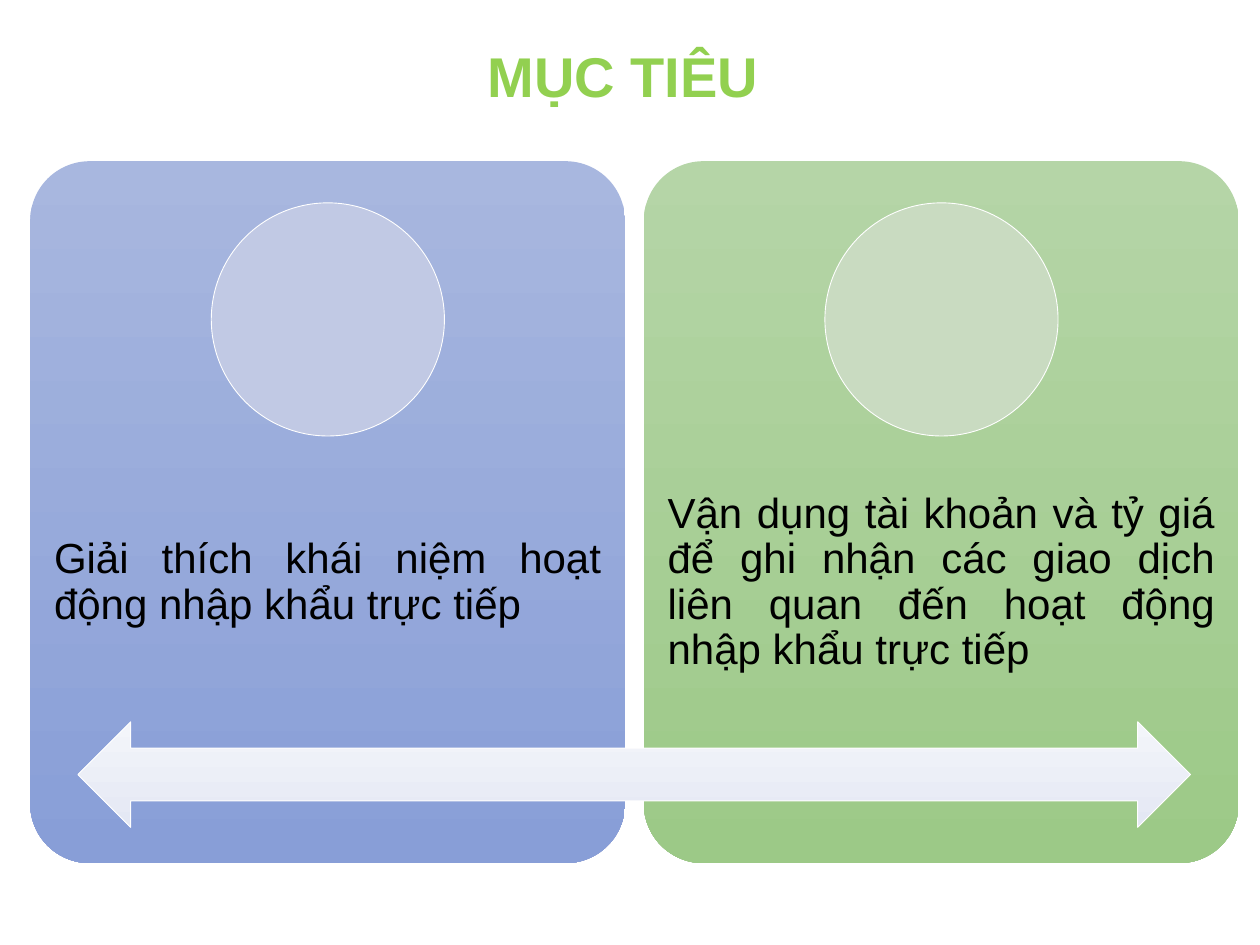
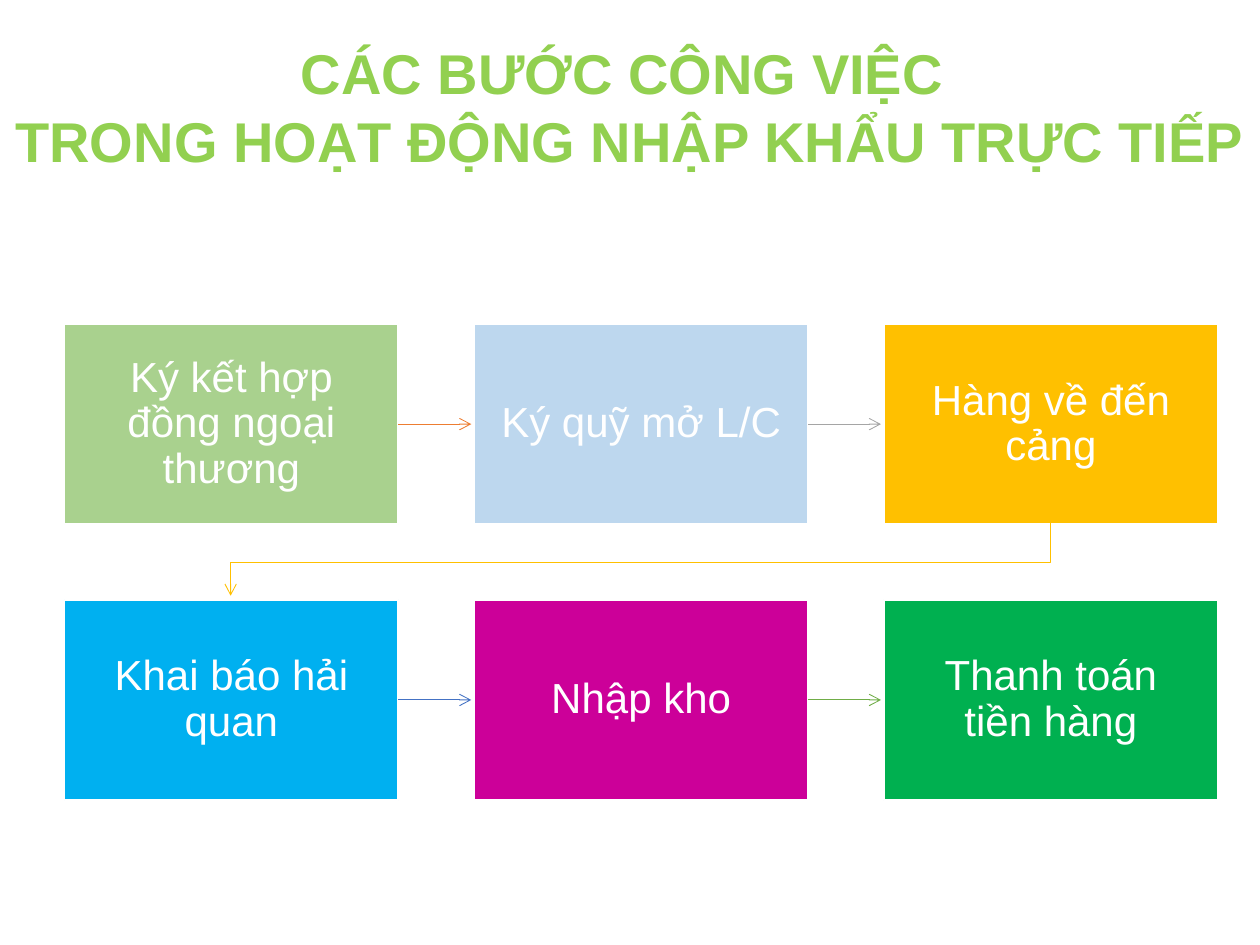
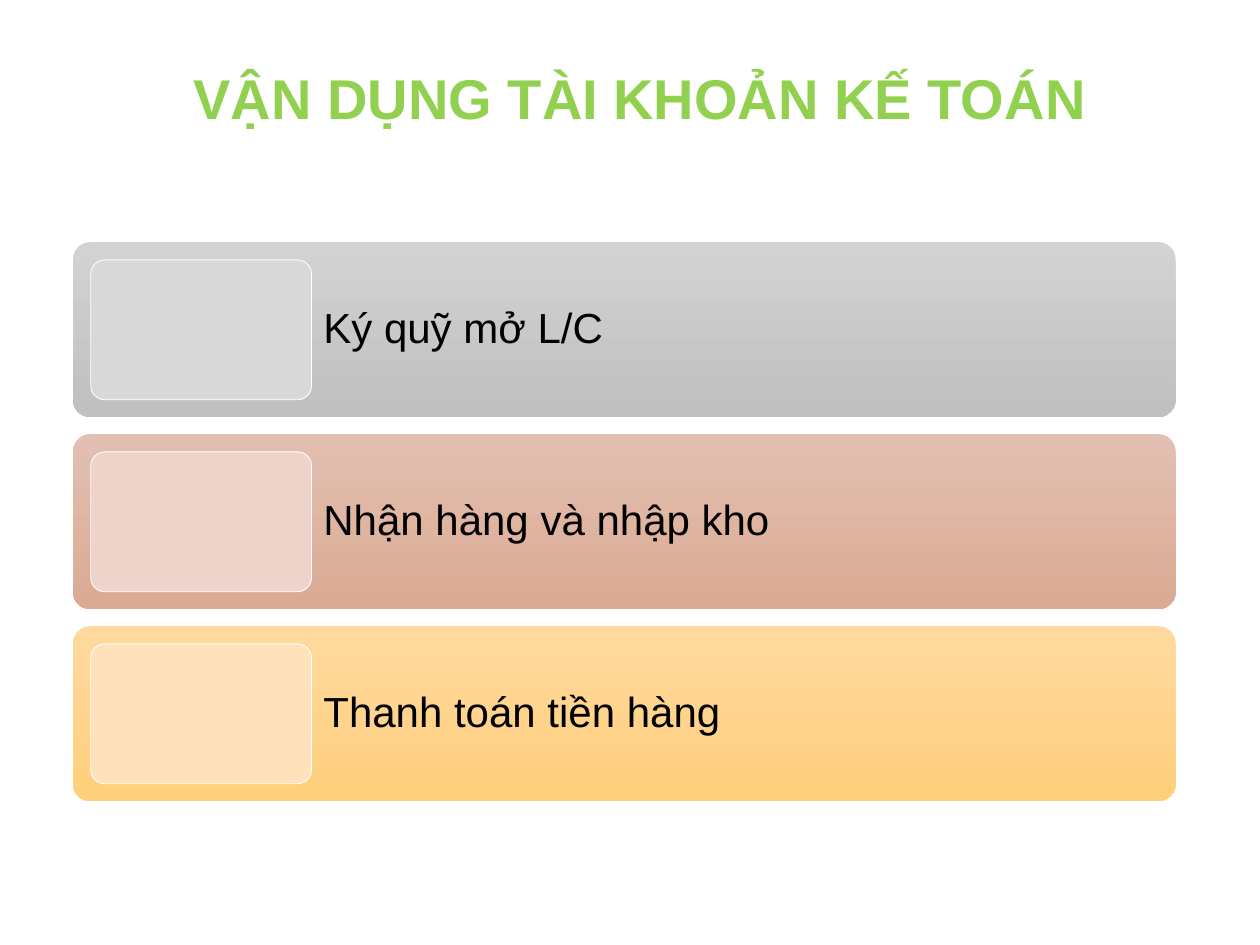
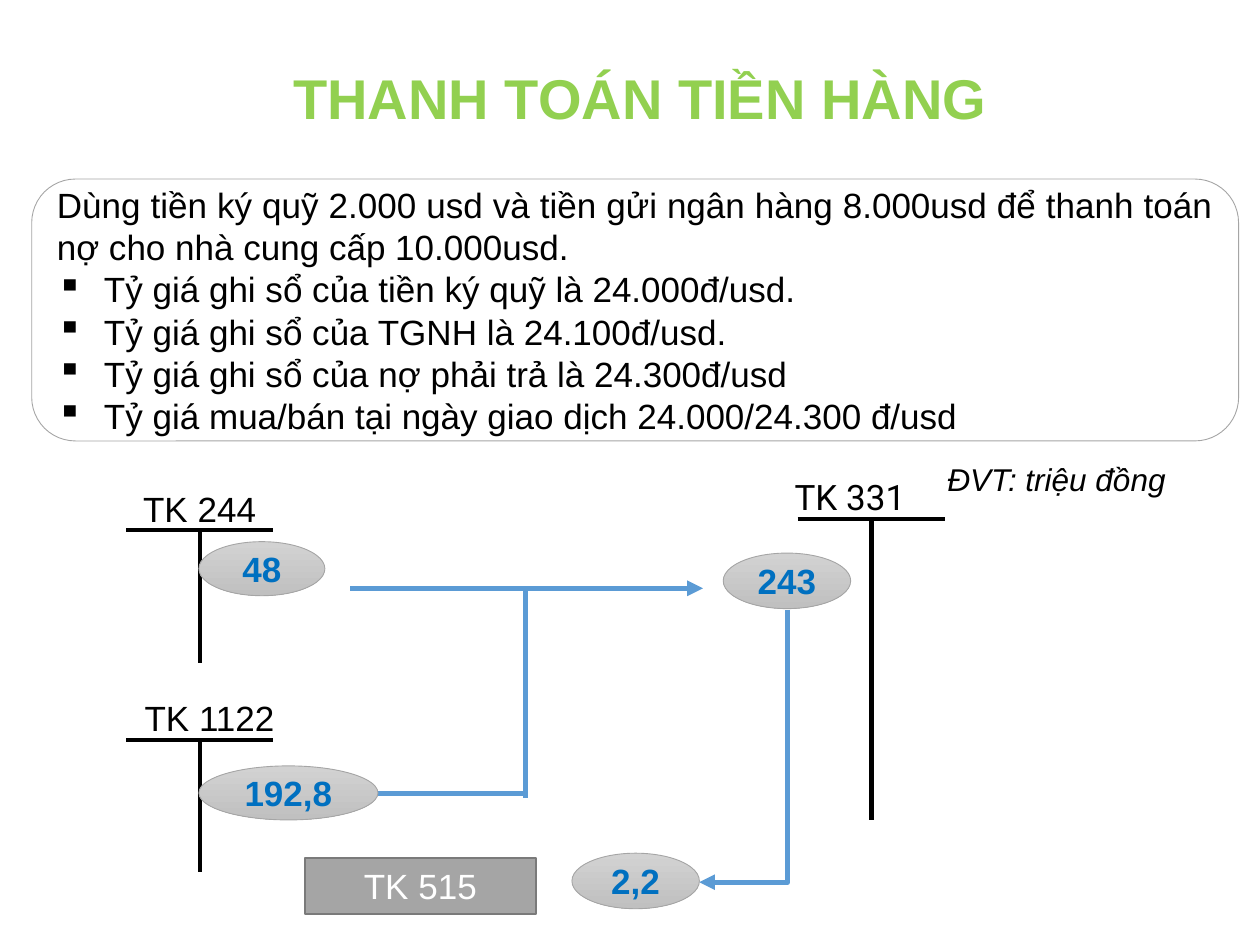
"""Build four slides on accounting for direct imports."""
from pptx import Presentation
from pptx.dml.color import RGBColor
from pptx.enum.shapes import MSO_CONNECTOR as CONN, MSO_SHAPE as SHAPE
from pptx.enum.text import MSO_ANCHOR as ANCHOR, MSO_AUTO_SIZE as AUTO, PP_ALIGN as ALIGN
from pptx.oxml.ns import qn
from pptx.util import Cm, Pt
from lxml.etree import SubElement

GREEN, BLUE, GREY = "92D050", "5B9BD5", "A5A5A5"
SILVER = ("D2D2D2", "C0C0C0")
ROOMY, EVEN, NORMAL = (0.48, 0.48), (0.25, 0.25), (0.25, 0.13)


def paint(sp, fill=None, line=None, width=0.5, tail=None):
    """Set fill (one colour or a top and bottom pair), line and arrowhead without a shadow."""
    if hasattr(sp, "fill"):
        sp.shadow.inherit = False
        if isinstance(fill, tuple):
            sp.fill.gradient()
            sp.fill.gradient_angle = 270
            for stop, color in zip(sp.fill.gradient_stops, fill):
                stop.color.rgb = RGBColor.from_string(color)
        elif fill:
            sp.fill.solid()
            sp.fill.fore_color.rgb = RGBColor.from_string(fill)
        else:
            sp.fill.background()
    if line:
        sp.line.color.rgb = RGBColor.from_string(line)
        sp.line.width = Pt(width)
    else:
        sp.line.fill.background()
    if tail:
        SubElement(sp.line._get_or_add_ln(), qn("a:tailEnd"), type=tail)
    if not hasattr(sp, "fill"):
        SubElement(sp._element.spPr, qn("a:effectLst"))


def write(sp, lines, color="000000", align=ALIGN.CENTER, anchor=ANCHOR.MIDDLE,
          inset=NORMAL, spacing=1.0, **font):
    """Fill a shape with one paragraph per line of text."""
    tf = sp.text_frame
    x, y = map(Cm, inset)
    frame = {"word_wrap": True, "auto_size": AUTO.NONE, "vertical_anchor": anchor,
             "margin_left": x, "margin_right": x, "margin_top": y, "margin_bottom": y}
    for key, value in frame.items():
        setattr(tf, key, value)
    for i, line in enumerate(lines):
        p = tf.add_paragraph() if i else tf.paragraphs[0]
        p.alignment, p.line_spacing = align, spacing
        r = p.add_run()
        r.text = line
        for key, value in ({"name": "Arial", "size": Pt(24)} | font).items():
            setattr(r.font, key, value)
        r.font.color.rgb = RGBColor.from_string(color)


prs = Presentation()
prs.slide_width, prs.slide_height = Cm(25.4), Cm(19.05)

titles = [
    (["MỤC TIÊU"], (9.55, 0.69, 6.02, 1.63), 1.0),
    (["CÁC BƯỚC CÔNG VIỆC ", "TRONG HOẠT ĐỘNG NHẬP KHẨU TRỰC TIẾP"], (0, 0.64, 25.4, 3), 1.0),
    (["VẬN DỤNG TÀI KHOẢN KẾ TOÁN"], (2.11, 0.89, 21.59, 2.29), 0.9),
    (["THANH TOÁN TIỀN HÀNG"], (2.11, 0.89, 21.59, 2.29), 0.9),
]
for lines, box, spacing in titles:
    s = prs.slides.add_slide(prs.slide_layouts[5])
    title = s.shapes.title
    title.left, title.top, title.width, title.height = map(Cm, box)
    write(title, lines, GREEN, spacing=spacing, size=Pt(32), bold=True)
goals, steps, topics, payment = [s.shapes for s in prs.slides]

panels = [
    ("Giải thích khái niệm hoạt động nhập khẩu trực tiếp", ("A8B7DF", "889ED7"), "C1C9E4"),
    ("Vận dụng tài khoản và tỷ giá để ghi nhận các giao dịch liên quan đến hoạt động "
     "nhập khẩu trực tiếp", ("B5D5A7", "9CC987"), "C9DBC1"),
]
for i, (text, fill, tint) in enumerate(panels):
    x = 0.61 + i * 12.37
    panel = goals.add_shape(SHAPE.ROUNDED_RECTANGLE, Cm(x), Cm(3.25), Cm(11.99), Cm(14.15))
    panel.adjustments[0] = 0.1
    paint(panel, fill)
    label = goals.add_textbox(Cm(x), Cm(8.92), Cm(11.99), Cm(5.66))
    write(label, [text], align=ALIGN.JUSTIFY, inset=ROOMY, spacing=0.9)
    circle = goals.add_shape(SHAPE.OVAL, Cm(x + 3.65), Cm(4.09), Cm(4.7), Cm(4.7))
    paint(circle, tint, "FFFFFF")
arrow = goals.add_shape(SHAPE.LEFT_RIGHT_ARROW, Cm(1.57), Cm(14.55), Cm(22.43), Cm(2.13))
paint(arrow, ("F3F5FA", "E4E8F4"), "FFFFFF")

tasks = [
    ("Ký kết hợp đồng ngoại thương", "A9D18E", "ED7D31"),
    ("Ký quỹ mở L/C", "BDD7EE", GREY),
    ("Hàng về đến cảng", "FFC000", None),
    ("Khai báo hải quan", "00B0F0", "4472C4"),
    ("Nhập kho", "CC0099", "70AD47"),
    ("Thanh toán tiền hàng", "00B050", None),
]
w, h = 6.73, 4.04
for i, (text, fill, link) in enumerate(tasks):
    row, col = divmod(i, 3)
    x, y = 1.3 + col * 8.26, 6.53 + row * 5.56
    sp = steps.add_shape(SHAPE.RECTANGLE, Cm(x), Cm(y), Cm(w), Cm(h))
    paint(sp, fill, "FFFFFF", 1)
    write(sp, [text], "FFFFFF", inset=ROOMY, spacing=0.9)
    if link:
        mid = Cm(y + h / 2)
        line = steps.add_connector(CONN.STRAIGHT, Cm(x + w), mid, Cm(x + w + 1.47), mid)
        paint(line, line=link, tail="arrow")
turn = steps.build_freeform(Cm(21.18), Cm(10.55))
turn.add_line_segments([(Cm(21.18), Cm(11.33)), (Cm(4.65), Cm(11.33)), (Cm(4.65), Cm(12.01))],
                       close=False)
paint(turn.convert_to_shape(), line="FFC000", tail="arrow")

bands = [
    ("Ký quỹ mở L/C", SILVER, "D8D8D8"),
    ("Nhận hàng và nhập kho", ("E2C0B1", "DBAA93"), "EDD3C9"),
    ("Thanh toán tiền hàng", ("FFD99E", "FFCF7C"), "FFE1BB"),
]
for i, (text, fill, tint) in enumerate(bands):
    y = 4.88 + i * 3.87
    for box, color, edge in (((1.47, y, 22.23, 3.53), fill, None),
                             ((1.83, y + 0.36, 4.45, 2.82), tint, "FFFFFF")):
        sp = topics.add_shape(SHAPE.ROUNDED_RECTANGLE, *map(Cm, box))
        sp.adjustments[0] = 0.1
        paint(sp, color, edge)
    label = topics.add_textbox(Cm(6.27), Cm(y), Cm(17.42), Cm(3.53))
    write(label, [text], align=ALIGN.JUSTIFY, inset=EVEN, spacing=0.9)

case = payment.add_shape(SHAPE.ROUNDED_RECTANGLE, Cm(0.64), Cm(3.61), Cm(24.33), Cm(5.28))
paint(case, "FFFFFF", GREY)
write(case, [
    "Dùng tiền ký quỹ 2.000 usd và tiền gửi ngân hàng 8.000usd để thanh toán nợ cho "
    "nhà cung cấp 10.000usd.",
    "Tỷ giá ghi sổ của tiền ký quỹ là 24.000đ/usd.",
    "Tỷ giá ghi sổ của TGNH là 24.100đ/usd.",
    "Tỷ giá ghi sổ của nợ phải trả là 24.300đ/usd",
    "Tỷ giá mua/bán tại ngày giao dịch 24.000/24.300 đ/usd",
], align=ALIGN.JUSTIFY, size=Pt(20))
for p in case.text_frame.paragraphs[1:]:
    pPr = p._p.get_or_add_pPr()
    pPr.set("marL", str(Cm(0.95)))
    pPr.set("indent", str(-Cm(0.95)))
    SubElement(pPr, qn("a:buChar"), char="▪")

accounts = [
    ("TK 331", "Roboto", 16.08, 10.46, 6.07, 14.81),
    ("TK 244", "Arial", 2.54, 10.69, 2.67, 1.7),
    ("TK 1122", "Arial", 2.54, 14.91, 2.67, 1.9),
]
for name, font, x, y, depth, label_x in accounts:
    stem = x + 1.49
    for ends, width in (((stem, y, stem, y + depth), 2.75), ((x, y, x + 2.97, y), 2.25)):
        line = payment.add_connector(CONN.STRAIGHT, *map(Cm, ends))
        paint(line, line="000000", width=width)
    label = payment.add_textbox(Cm(label_x), Cm(y - 1), Cm(4.65), Cm(1.12))
    write(label, [name], anchor=ANCHOR.TOP, name=font, size=Pt(20))

flows = [
    ((7.06, 11.86, 14.17, 11.86), "triangle"),
    ((10.59, 11.86, 10.59, 16.08), None),
    ((7.62, 16, 10.62, 16), None),
]
for ends, tail in flows:
    line = payment.add_connector(CONN.STRAIGHT, *map(Cm, ends))
    paint(line, line=BLUE, width=3, tail=tail)
elbow = payment.add_connector(CONN.ELBOW, Cm(12.24), Cm(14.15), Cm(17.73), Cm(15.93))
elbow._element.spPr.find(qn("a:xfrm")).set("rot", "5400000")
elbow._element.spPr.find(qn("a:prstGeom")).set("prst", "bentConnector2")
paint(elbow, line=BLUE, width=3, tail="triangle")

amounts = [
    ("243", (14.58, 11.15, 2.57, 1.12)),
    ("48", (4.01, 10.92, 2.54, 1.09)),
    ("192,8", (4.01, 15.44, 3.61, 1.09)),
    ("2,2", (11.53, 17.2, 2.57, 1.12)),
]
for text, box in amounts:
    sp = payment.add_shape(SHAPE.OVAL, *map(Cm, box))
    paint(sp, SILVER, GREY)
    write(sp, [text], "0070C0", size=Pt(20), bold=True)

income = payment.add_shape(SHAPE.RECTANGLE, Cm(6.15), Cm(17.3), Cm(4.65), Cm(1.12))
paint(income, GREY, "7A7A7A", 1)
write(income, ["TK 515"], "FFFFFF", anchor=ANCHOR.TOP, size=Pt(20))
unit = payment.add_textbox(Cm(18.85), Cm(9.14), Cm(5.71), Cm(1.02))
write(unit, ["ĐVT: triệu đồng"], align=ALIGN.LEFT, anchor=ANCHOR.TOP, size=Pt(18), italic=True)

prs.save("out.pptx")
